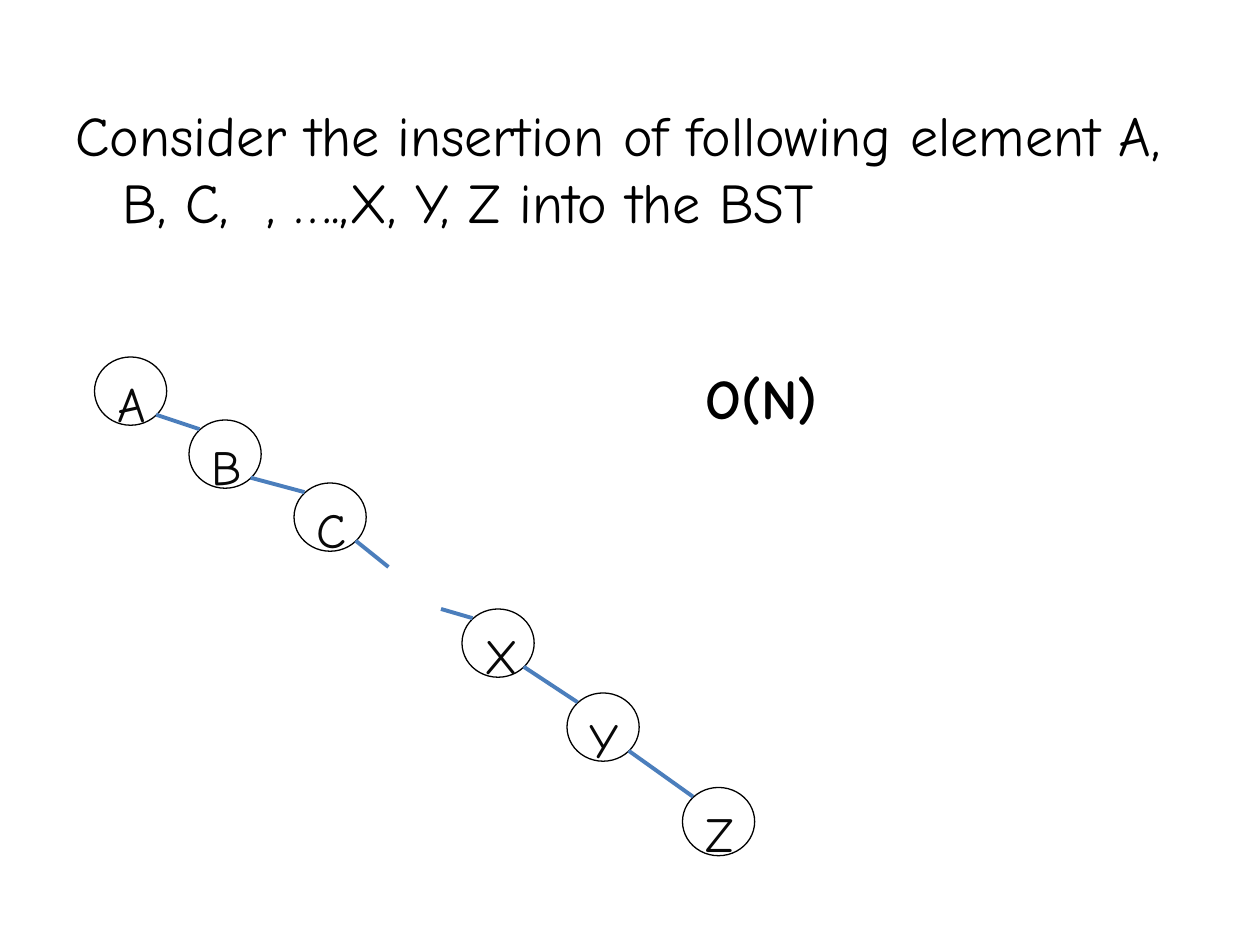
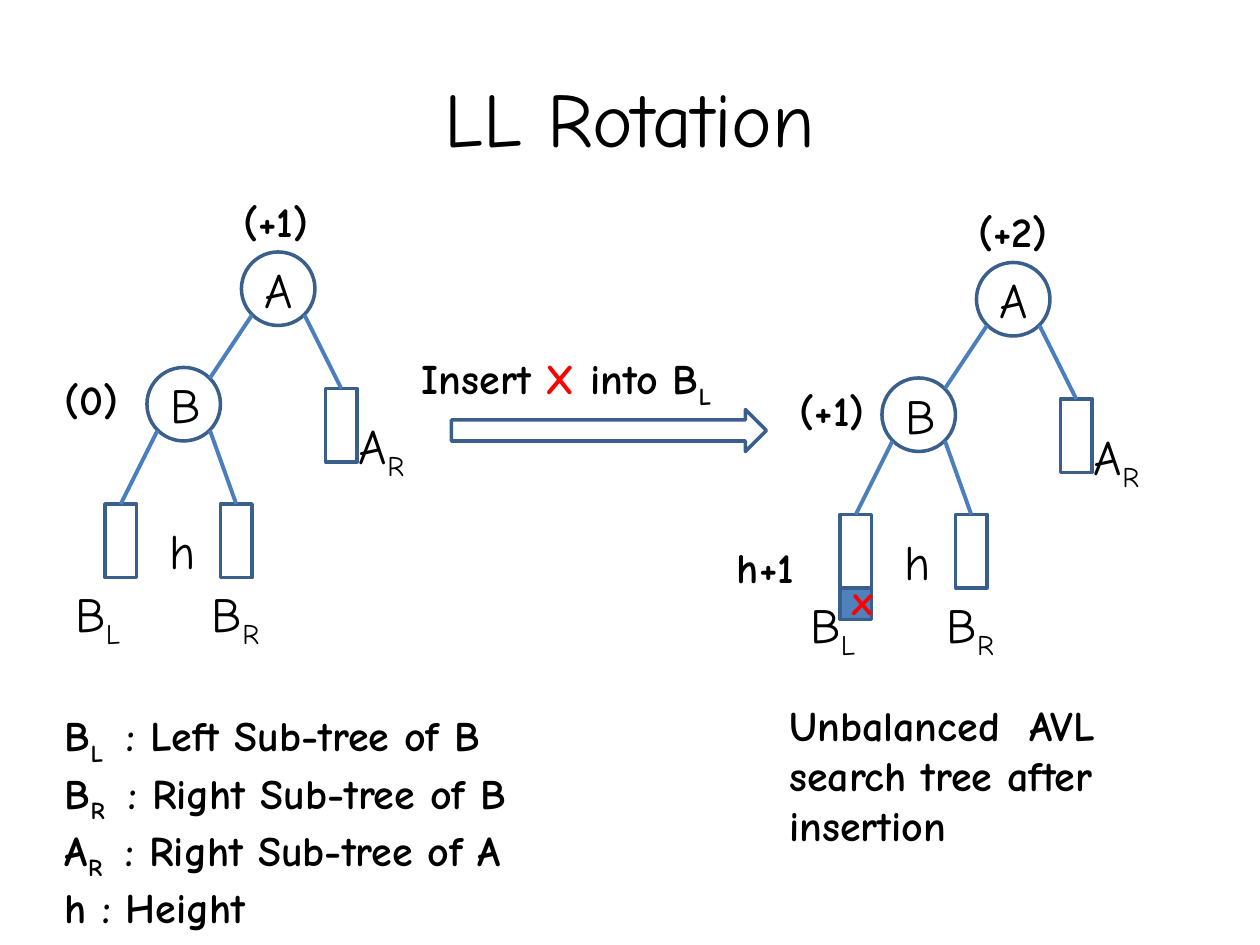
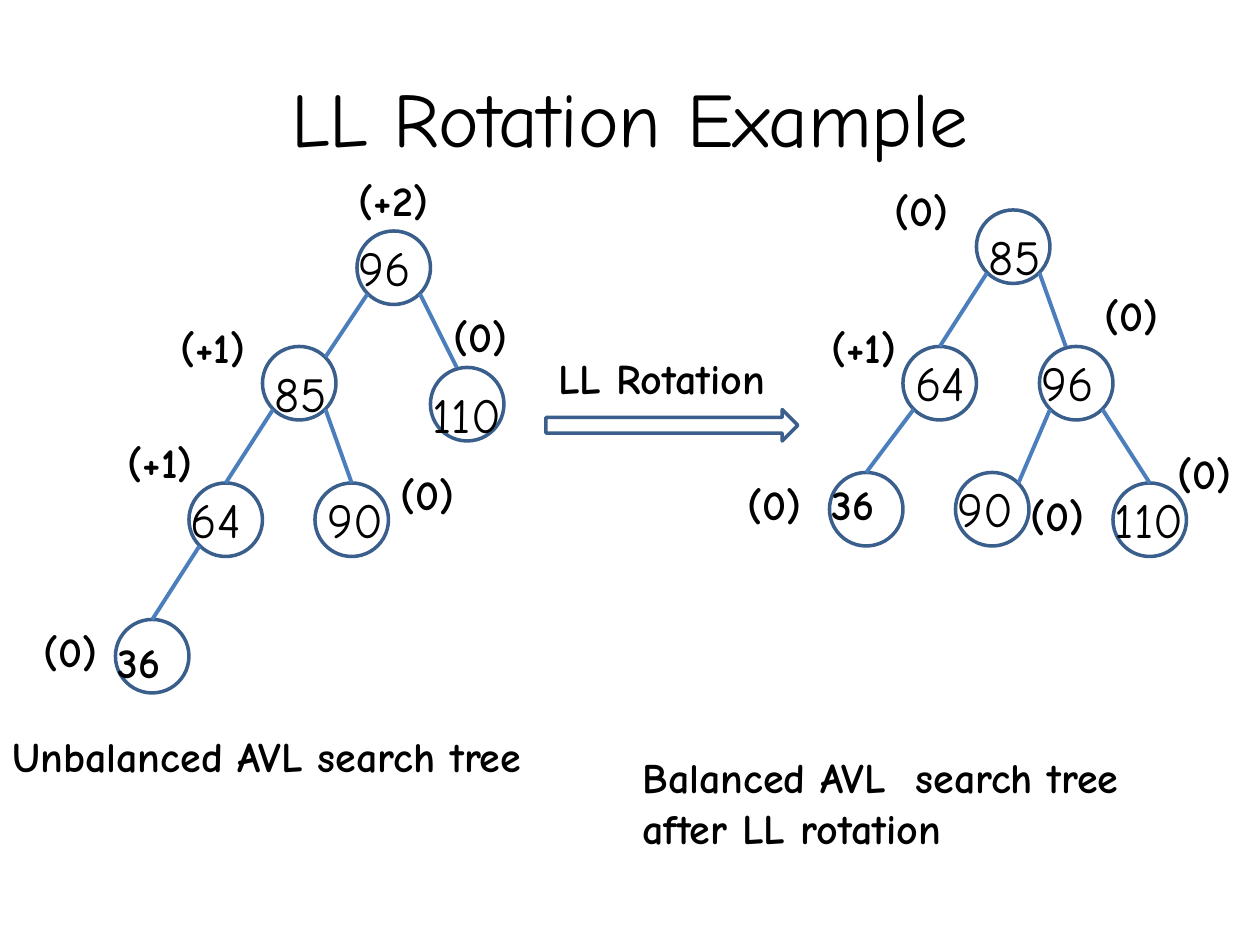
from lxml import etree
from pptx import Presentation
from pptx.dml.color import RGBColor
from pptx.enum.shapes import MSO_CONNECTOR, MSO_SHAPE
from pptx.enum.text import MSO_ANCHOR, MSO_AUTO_SIZE, PP_ALIGN
from pptx.oxml.ns import qn
from pptx.util import Pt

PX = 9525  # 96 px to the inch
FONT = "Comic Neue"
BLACK, NODE_TEXT, RED = "000000", "080808", "FF0000"
OUTLINE, EDGE, MARK_FILL = "3A5F8C", "4B7EBC", "4F81BD"
OVAL, RECT, ARROW = MSO_SHAPE.OVAL, MSO_SHAPE.RECTANGLE, MSO_SHAPE.RIGHT_ARROW
STRAIGHT = MSO_CONNECTOR.STRAIGHT
LEFT, CENTER = PP_ALIGN.LEFT, PP_ALIGN.CENTER
TOP, MIDDLE = MSO_ANCHOR.TOP, MSO_ANCHOR.MIDDLE
GROW, FIXED = MSO_AUTO_SIZE.SHAPE_TO_FIT_TEXT, MSO_AUTO_SIZE.NONE
color = RGBColor.from_string

# Text styles
TITLE = {"size": 44, "align": CENTER, "anchor": MIDDLE, "fit": FIXED}
BODY = {"size": 32, "fit": FIXED}
COST = {"size": 32, "bold": True}
LABEL = {"size": 24, "bold": True}
KEY = {"size": 28}
CHAIN_NODE = {"size": 28, "color": NODE_TEXT, "align": CENTER, "fit": FIXED}
TREE_NODE = {"size": 28, "align": CENTER, "anchor": MIDDLE, "fit": FIXED}
SUB = {"sub": True}

# Tree geometry
NODE = 56
LEAF_W = 24
LOW_LEFT, LOW_RIGHT = (8, 48), (48, 48)
HIGH_RIGHT, SUMMIT, BESIDE_SUMMIT = (48, 8), (28, 0), (20, 0)


def add_box(page, place, paras=(), style=KEY, kind=None, line=OUTLINE, width=2, fill=None):
    """Add a text box, or a shape of the given kind; a paragraph is a string or a list of spans."""
    place = [length * PX for length in place]
    if kind is None:
        box = page.shapes.add_textbox(*place)
    else:
        box = page.shapes.add_shape(kind, *place)
        box.shadow.inherit = False
        box.line.color.rgb = color(line)
        box.line.width = Pt(width)
        if fill:
            box.fill.solid()
            box.fill.fore_color.rgb = color(fill)
        else:
            box.fill.background()
    frame = box.text_frame
    frame_format = {"word_wrap": True, "auto_size": style.get("fit", GROW),
                    "vertical_anchor": style.get("anchor", TOP)}
    for name, value in frame_format.items():
        setattr(frame, name, value)
    for index, spans in enumerate(paras):
        para = frame.add_paragraph() if index else frame.paragraphs[0]
        para.alignment = style.get("align", LEFT)
        for text, changes in [(spans, {})] if isinstance(spans, str) else spans:
            look = {**style, **changes}
            span = para.add_run()
            span.text = text
            font_format = {"name": FONT, "size": Pt(look["size"]), "bold": look.get("bold", False)}
            for name, value in font_format.items():
                setattr(span.font, name, value)
            span.font.color.rgb = color(look.get("color", BLACK))
            if look.get("sub"):
                span._r.get_or_add_rPr().set("baseline", "-25000")
    return box


def add_edge(page, start, end, width=2.25):
    edge = page.shapes.add_connector(STRAIGHT, *[length * PX for length in (*start, *end)])
    edge.line.color.rgb = color(EDGE)
    edge.line.width = Pt(width)
    etree.SubElement(edge._element.spPr, qn("a:effectLst"))
    return edge


deck = Presentation()
deck.slide_width, deck.slide_height = 960 * PX, 720 * PX
chain_page, rotation_page, example_page = [
    deck.slides.add_slide(deck.slide_layouts[6]) for _ in range(3)]
for page, title in ((rotation_page, "LL Rotation"), (example_page, "LL Rotation Example")):
    add_box(page, (48, 29, 864, 120), [title], TITLE)

# Slide 1: a tree that has become a chain
body = add_box(chain_page, (48, 72, 864, 600), [
    "Consider the insertion of following element A, B, C,  , ….,X, Y, Z into the BST"], BODY)
hanging = body.text_frame.paragraphs[0]._p.get_or_add_pPr()
hanging.set("marL", str(36 * PX))
hanging.set("indent", str(-36 * PX))

chain = {"A": (72, 272), "B": (144, 320), "C": (224, 368),
         "X": (352, 464), "Y": (432, 528), "Z": (520, 600)}
for name, (x, y) in chain.items():
    add_box(chain_page, (x, y, 55, 52), [name], CHAIN_NODE, OVAL, BLACK, 0.75)
for upper, lower in ("AB", "BC", "XY", "YZ"):
    (x1, y1), (x2, y2) = chain[upper], chain[lower]
    add_edge(chain_page, (x1 + 47, y1 + 44), (x2 + 8, y2 + 7))
add_edge(chain_page, (271, 412), (296, 432))
add_edge(chain_page, (336, 464), (360, 471))
add_box(chain_page, (528, 272, 240, 61), ["O(N)"], COST)

# Slide 2: key to the names
add_box(rotation_page, (40, 536, 560, 165), [
    *[[(tree, {}), (side + " ", SUB), (f" : {meaning}", {})] for tree, side, meaning in (
        ("B", "L", "Left Sub-tree of B"),
        ("B", "R", "Right Sub-tree of B"),
        ("A", "R", "Right Sub-tree of A"))],
    "h : Height"], LABEL)

# Slide 2: the step between the trees
add_box(rotation_page, (344, 312, 240, 32), kind=ARROW)
add_box(rotation_page, (312, 264, 280, 48), [
    [("Insert ", {}), ("X ", {"color": RED}), ("into B", {}), ("L", SUB)]], LABEL)
add_box(rotation_page, (640, 448, 24, 24), kind=RECT, fill=MARK_FILL)

# Slide 2: the tree before and after the insertion
for dx, dy, root_balance, child_balance, balance_w in (
        (0, 0, "(+1)", "(0)", 64), (560, 8, "(+2)", "(+1)", 88)):
    root, child = (184 + dx, 192 + dy), (112 + dx, 280 + dy)
    for name, (x, y) in (("A", root), ("B", child)):
        add_box(rotation_page, (x, y, NODE, NODE), [name], TREE_NODE, OVAL)
    add_edge(rotation_page, (root[0] + 8, root[1] + 48), (child[0] + 48, child[1] + 8))
    for parent, corner, x, y in ((root, LOW_RIGHT, 248, 296),
                                 (child, LOW_RIGHT, 168, 384),
                                 (child, LOW_LEFT, 80, 384)):
        leaf = add_box(rotation_page, (x + dx, y + dy, LEAF_W, NODE), kind=RECT)
        start = (parent[0] + corner[0], parent[1] + corner[1])
        add_edge(rotation_page, start, (x + dx, y + dy)).end_connect(leaf, 0)
    for tree, side, x, y in (("A", "R", 264, 312), ("B", "L", 48, 440), ("B", "R", 152, 440)):
        add_box(rotation_page, (x + dx, y + dy, 80, 55), [[(tree, {}), (side, SUB)]])
    add_box(rotation_page, (120 + dx, 392 + dy, 32, 55), ["h"])
    add_box(rotation_page, (40 + dx, 280 + dy, balance_w, 48), [child_balance], LABEL)
    add_box(rotation_page, (176 + dx, 144 + dy, 120, 48), [root_balance], LABEL)

add_box(rotation_page, (552, 408, 88, 48), ["h+1"], LABEL)
add_box(rotation_page, (640, 432, 48, 48), [[("x", {"color": RED})]], LABEL)
add_box(rotation_page, (592, 528, 304, 126),
        ["Unbalanced  AVL search tree after insertion"], LABEL)

# Slide 3: the rotation and the captions
add_box(example_page, (416, 312, 192, 24), kind=ARROW)
add_box(example_page, (416, 264, 200, 48), ["LL Rotation"], LABEL)
add_box(example_page, (0, 552, 440, 87), ["Unbalanced AVL search tree"], LABEL)
add_box(example_page, (480, 568, 440, 87),
        ["Balanced AVL  search tree after LL rotation"], LABEL)

# Slide 3: key: (node place, key text place, balance, balance place)
before = {
    "96": ((272, 176), (264, 176, 104), "(+2)", (264, 128, 120)),
    "85": ((200, 264), (200, 272, 72), "(+1)", (128, 240, 88)),
    "110": ((328, 280), (320, 288, 120), "(0)", (336, 232, 120)),
    "64": ((144, 368), (136, 368, 72), "(+1)", (88, 328, 120)),
    "90": ((240, 368), (240, 368, 72), "(0)", (296, 352, 120)),
    "36": ((88, 472), (80, 480, 80), "(0)", (24, 472, 120)),
}
after = {
    "85": ((744, 160), (744, 168, 72), "(0)", (672, 136, 88)),
    "64": ((688, 264), (688, 264, 72), "(+1)", (624, 240, 96)),
    "96": ((792, 264), (784, 264, 104), "(0)", (832, 216, 120)),
    "36": ((632, 360), (624, 360, 80), "(0)", (560, 360, 72)),
    "90": ((728, 360), (720, 360, 72), "(0)", (776, 368, 120)),
    "110": ((848, 368), (840, 368, 80), "(0)", (888, 336, 72)),
}
# Edges: (parent, where it leaves, child, where it arrives)
before_edges = (
    ("96", LOW_LEFT, "85", HIGH_RIGHT), ("96", LOW_RIGHT, "110", BESIDE_SUMMIT),
    ("85", LOW_LEFT, "64", SUMMIT), ("85", LOW_RIGHT, "90", SUMMIT),
    ("64", LOW_LEFT, "36", SUMMIT))
after_edges = (
    ("85", LOW_LEFT, "64", SUMMIT), ("85", LOW_RIGHT, "96", BESIDE_SUMMIT),
    ("64", LOW_LEFT, "36", SUMMIT), ("96", LOW_LEFT, "90", HIGH_RIGHT),
    ("96", LOW_RIGHT, "110", SUMMIT))
for tree, edges in ((before, before_edges), (after, after_edges)):
    for key, (node, (x, y, w), balance, (bx, by, bw)) in tree.items():
        add_box(example_page, (*node, NODE, NODE), kind=OVAL)
        add_box(example_page, (x, y, w, 55), [key], LABEL if key == "36" else KEY)
        add_box(example_page, (bx, by, bw, 48), [balance], LABEL)
    for parent, leave, child, arrive in edges:
        (x1, y1), (x2, y2) = tree[parent][0], tree[child][0]
        add_edge(example_page, (x1 + leave[0], y1 + leave[1]), (x2 + arrive[0], y2 + arrive[1]))

deck.save("out.pptx")
